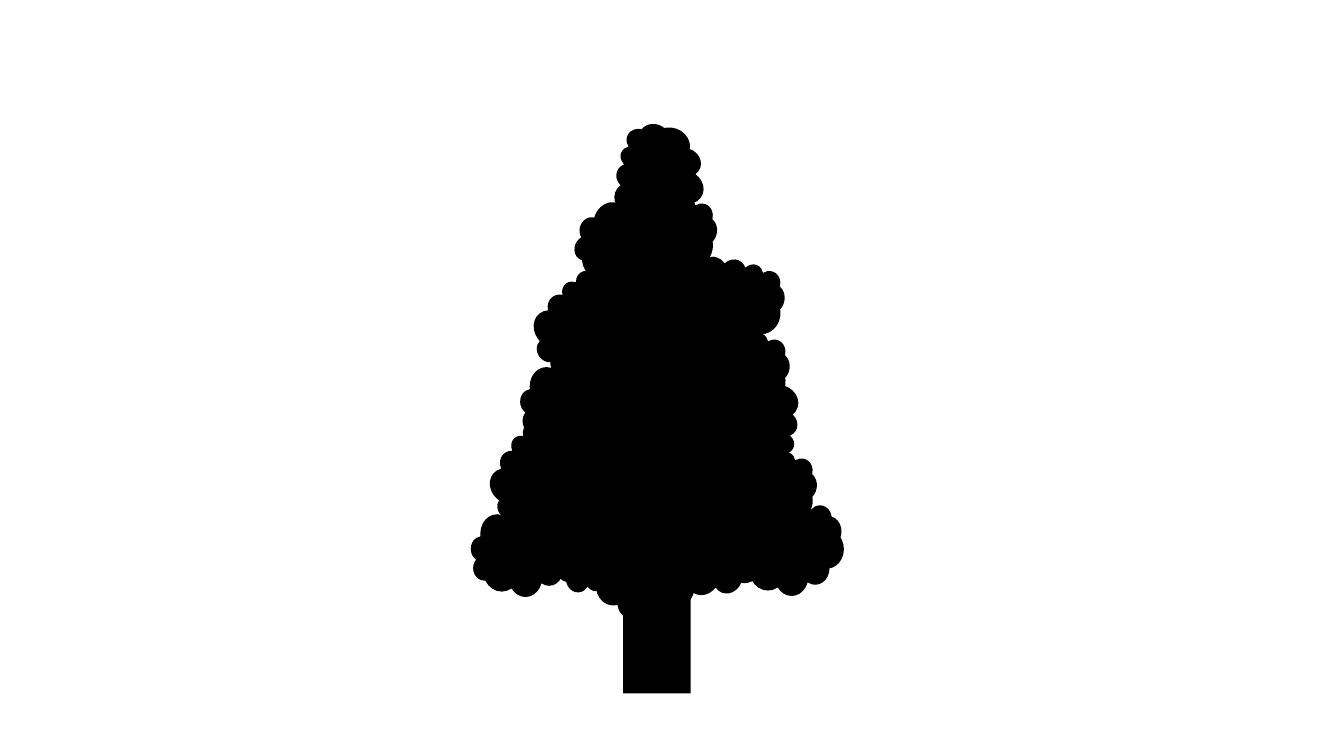
"""Build a slide with a black tree made of a triangle, clouds and a trunk."""
from pptx import Presentation
from pptx.dml.color import RGBColor as Rgb
from pptx.enum.shapes import MSO_SHAPE as Kind
from pptx.util import Inches

theme = {"tree": Rgb(0, 0, 0), "page": Rgb(255, 255, 255)}
deck = Presentation()
size = {"slide_width": Inches(13.33), "slide_height": Inches(7.5)}
for name, value in size.items():
    setattr(deck, name, value)
col, row = deck.slide_width / 1333, deck.slide_height / 750

slide = deck.slides.add_slide(deck.slide_layouts[6])
back = slide.background.fill
back.solid()
back.fore_color.rgb = theme["page"]
tree = slide.shapes.add_group_shape()

wide, high, tilt = 106, 90, 22.2
leaves = [
    (516, 356, 0), (482, 429, 311.9), (601, 133, 290), (467, 502, 0),
    (526, 279, 323), (603, 188, tilt), (731, 501, 0), (571, 201, tilt),
    (675, 323, tilt), (695, 374, 107.2), (670, 255, tilt), (702, 441, tilt),
    (547, 496, 175.9), (653, 502, tilt), (585, 526, tilt),
]
parts = [
    (Kind.ISOSCELES_TRIANGLE, 483, 132, 338, 437, 0),
    *[(Kind.CLOUD, x, y, wide, high, turn) for x, y, turn in leaves],
    (Kind.RECTANGLE, 618, 486, 67, 202, 0),
]
for kind, x, y, w, h, turn in parts:
    part = tree.shapes.add_shape(
        kind, round(x * col), round(y * row), round(w * col), round(h * row))
    part.rotation = turn
    part.shadow.inherit = False
    part.fill.solid()
    part.fill.fore_color.rgb = theme["tree"]
    part.line.fill.background()

deck.save("out.pptx")
